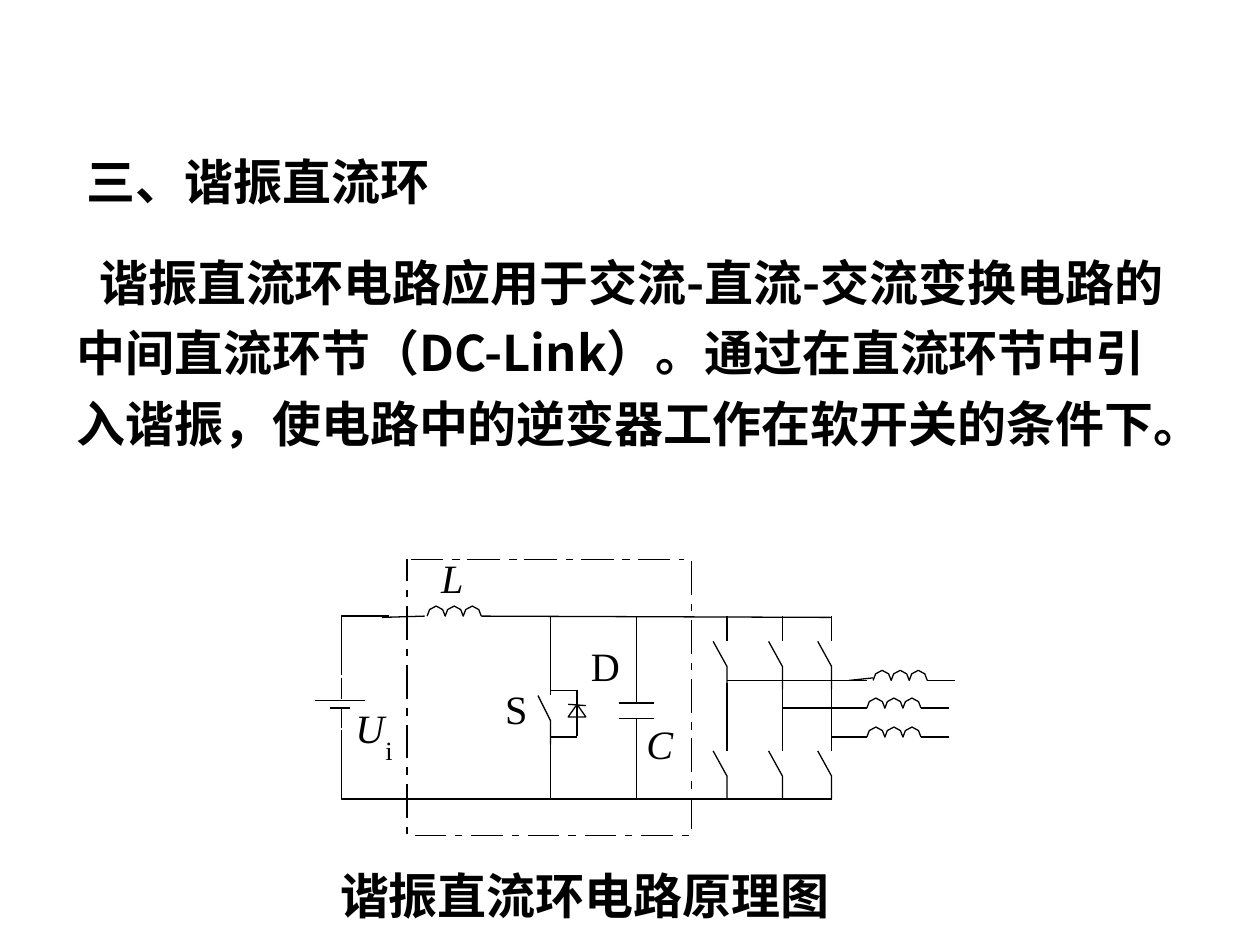
from lxml import etree
from pptx import Presentation
from pptx.dml.color import RGBColor
from pptx.enum.shapes import MSO_CONNECTOR
from pptx.enum.text import MSO_AUTO_SIZE, PP_ALIGN
from pptx.oxml.ns import qn
from pptx.util import Inches, Pt

STRAIGHT = MSO_CONNECTOR.STRAIGHT
LEFT, CENTER = PP_ALIGN.LEFT, PP_ALIGN.CENTER
FIT_SHAPE = MSO_AUTO_SIZE.SHAPE_TO_FIT_TEXT

THEME = {
    "ink": RGBColor(0, 0, 0),
    "paper": RGBColor(255, 255, 255),
    "line": Pt(0.75),
    "body": 28,
    "symbol": 23,
    "subscript": 15,
    "chinese": "Noto Sans CJK SC",
    "heading": "Arial",
    "latin": "Times New Roman",
}

HEADING = "三、谐振直流环"
BODY = (
    "谐振直流环电路应用于交流-直流-交流变换电路的中间直流环节（DC-Link）。"
    "通过在直流环节中引入谐振，使电路中的逆变器工作在软开关的条件下。"
)
CAPTION = "谐振直流环电路原理图"

SYMBOLS = [
    ("L", (3.5, 4.39, 0.18, 0.38), "symbol", True),
    ("U", (2.82, 5.58, 0.23, 0.38), "symbol", True),
    ("i", (3.06, 5.83, 0.06, 0.25), "subscript", False),
    ("S", (4.01, 5.43, 0.18, 0.38), "symbol", False),
    ("C", (5.13, 5.71, 0.21, 0.38), "symbol", True),
    ("D", (4.69, 5.09, 0.23, 0.38), "symbol", False),
]

TOP, BOTTOM = 4.89, 6.34
BATTERY, SWITCH, DIODE, CAPACITOR = 2.71, 4.37, 4.58, 5.05

SUPPLY_WIRES = [
    [(BATTERY, 5.19), (BATTERY, TOP), (3.09, TOP)],
    [(3.37, TOP), (3.03, 4.9)],
    [(3.82, TOP), (6.6, 4.9)],
    [(BATTERY, 5.79), (BATTERY, BOTTOM), (6.6, BOTTOM)],
    [(BATTERY, 5.19), (BATTERY, 5.36)],
    [(BATTERY, 5.38), (BATTERY, 5.55)],
    [(2.5, 5.56), (2.9, 5.56)],
    [(2.62, 5.62), (2.78, 5.62)],
    [(BATTERY, 5.62), (BATTERY, 5.78)],
]
SWITCH_WIRES = [
    [(SWITCH, TOP), (SWITCH, 5.52)],
    [(4.27, 5.52), (SWITCH, 5.72), (SWITCH, 5.91)],
    [(SWITCH, 5.89), (SWITCH, BOTTOM)],
    [(DIODE, 5.48), (SWITCH, 5.48)],
    [(DIODE, 5.85), (SWITCH, 5.85)],
    [(4.51, 5.59), (4.65, 5.6)],
]
DIODE_TRIANGLE = [(DIODE, 5.59), (4.51, 5.69), (4.65, 5.69)]
DIODE_LEAD = [(DIODE, 5.48), (DIODE, 5.84)]
CAPACITOR_WIRES = [
    [(4.91, 5.58), (5.19, 5.58)],
    [(4.91, 5.7), (5.19, 5.7)],
    [(CAPACITOR, TOP), (CAPACITOR, 5.58)],
    [(CAPACITOR, 5.7), (CAPACITOR, BOTTOM)],
]
PHASES = [
    {"leg": 5.77, "level": 5.4, "coil": 6.93, "end": (7.58, 5.4)},
    {"leg": 6.21, "level": 5.62, "coil": 6.88, "end": (7.53, 5.62)},
    {"leg": 6.6, "level": 5.85, "coil": 6.88, "end": (7.53, 5.85)},
]
COIL_WIDTH, COIL_HEIGHT, COIL_TURNS = 0.43, 0.08, 3

DASHED_FRAME = [
    ((3.26, 4.44), (5.43, 4.44), (0.26, 0.07, 0.06, 0.06)),
    ((5.49, 4.45), (5.49, 6.58), (0.27, 0.07, 0.06, 0.07)),
    ((5.47, 6.63), (3.29, 6.63), (0.06, 0.07, 0.25, 0.07)),
    ((3.23, 6.62), (3.23, 4.44), (0.06, 0.07, 0.27, 0.07)),
]


def add_text(slide, text, box, font=THEME["latin"], size=THEME["body"], bold=False,
             italic=False, align=LEFT, spacing=None, indent=0, wrap=True, margins=(0.1, 0.05)):
    shape = slide.shapes.add_textbox(*map(Inches, box))
    frame = shape.text_frame
    frame.word_wrap = wrap
    frame.auto_size = FIT_SHAPE
    frame.margin_left = frame.margin_right = Inches(margins[0])
    frame.margin_top = frame.margin_bottom = Inches(margins[1])
    paragraph = frame.paragraphs[0]
    paragraph.alignment = align
    if spacing:
        paragraph.line_spacing = spacing
    if indent:
        paragraph._p.get_or_add_pPr().set("indent", str(Inches(indent)))
    run = paragraph.add_run()
    run.text = text
    run.font.name = font
    run.font.size = Pt(size)
    run.font.bold = bold
    run.font.italic = italic
    run.font.color.rgb = THEME["ink"]
    east_asian = etree.SubElement(run._r.get_or_add_rPr(), qn("a:ea"))
    east_asian.set("typeface", THEME["chinese"])


def style_line(shape):
    shape.line.color.rgb = THEME["ink"]
    shape.line.width = THEME["line"]


def draw_path(slide, points, closed=False):
    corners = [(Inches(x), Inches(y)) for x, y in points]
    if len(corners) == 2:
        shape = slide.shapes.add_connector(STRAIGHT, *corners[0], *corners[1])
        etree.SubElement(shape._element.spPr, qn("a:effectLst"))
        style_line(shape)
        return
    builder = slide.shapes.build_freeform(*corners[0], scale=1.0)
    builder.add_line_segments(corners[1:], close=closed)
    shape = builder.convert_to_shape()
    shape.shadow.inherit = False
    if closed:
        shape.fill.solid()
        shape.fill.fore_color.rgb = THEME["paper"]
    else:
        shape.fill.background()
    style_line(shape)


def draw_coil(slide, left, base):
    turn = COIL_WIDTH / COIL_TURNS
    profile = [(0, 0), (0.14, 0.65), (0.5, 1), (0.86, 0.65)]
    points = [(left + (index + across) * turn, base - rise * COIL_HEIGHT)
              for index in range(COIL_TURNS) for across, rise in profile]
    draw_path(slide, points + [(left + COIL_WIDTH, base)])


def draw_dashes(slide, start, end, pattern):
    length = abs(end[0] - start[0]) + abs(end[1] - start[1])
    direction = [(end[axis] - start[axis]) / length for axis in (0, 1)]

    def point(distance):
        return tuple(start[axis] + direction[axis] * distance for axis in (0, 1))

    distance, index = 0, 0
    while distance < length - 0.01:
        step = pattern[index % len(pattern)]
        if index % 2 == 0:
            draw_path(slide, [point(distance), point(min(distance + step, length))])
        distance += step
        index += 1


def draw_phase(slide, leg, level, coil, end):
    draw_path(slide, [(leg, TOP), (leg, 5.09)])
    draw_path(slide, [(leg, 5.42), (leg, 5.96)])
    for top in (5.09, 5.96):
        draw_path(slide, [(leg - 0.11, top), (leg, top + 0.2), (leg, top + 0.38)])
    draw_path(slide, [(leg, level), (6.88, level)])
    if coil > 6.88:
        draw_path(slide, [(6.74, level), (coil, level - 0.02)])
    draw_coil(slide, coil, level)
    draw_path(slide, [(coil + COIL_WIDTH, level), end])


def main():
    presentation = Presentation()
    presentation.slide_width, presentation.slide_height = Inches(10), Inches(7.5)
    slide = presentation.slides.add_slide(presentation.slide_layouts[6])

    add_text(slide, BODY, (0.51, 1.86, 8.9, 2.34), font=THEME["chinese"], bold=True,
             spacing=1.2, indent=0.18)
    add_text(slide, HEADING, (0.59, 1.15, 8.27, 0.57), font=THEME["heading"], bold=True)

    for wire in SUPPLY_WIRES + SWITCH_WIRES + CAPACITOR_WIRES:
        draw_path(slide, wire)
    draw_path(slide, DIODE_TRIANGLE, closed=True)
    draw_path(slide, DIODE_LEAD)
    draw_coil(slide, 3.39, TOP)
    for phase in PHASES:
        draw_phase(slide, **phase)
    for start, end, pattern in DASHED_FRAME:
        draw_dashes(slide, start, end, pattern)
    for text, box, size, italic in SYMBOLS:
        add_text(slide, text, box, size=THEME[size], italic=italic, wrap=False, margins=(0, 0))

    add_text(slide, CAPTION, (2.18, 6.82, 4.92, 0.57), bold=True, align=CENTER)
    presentation.save("out.pptx")


if __name__ == "__main__":
    main()
